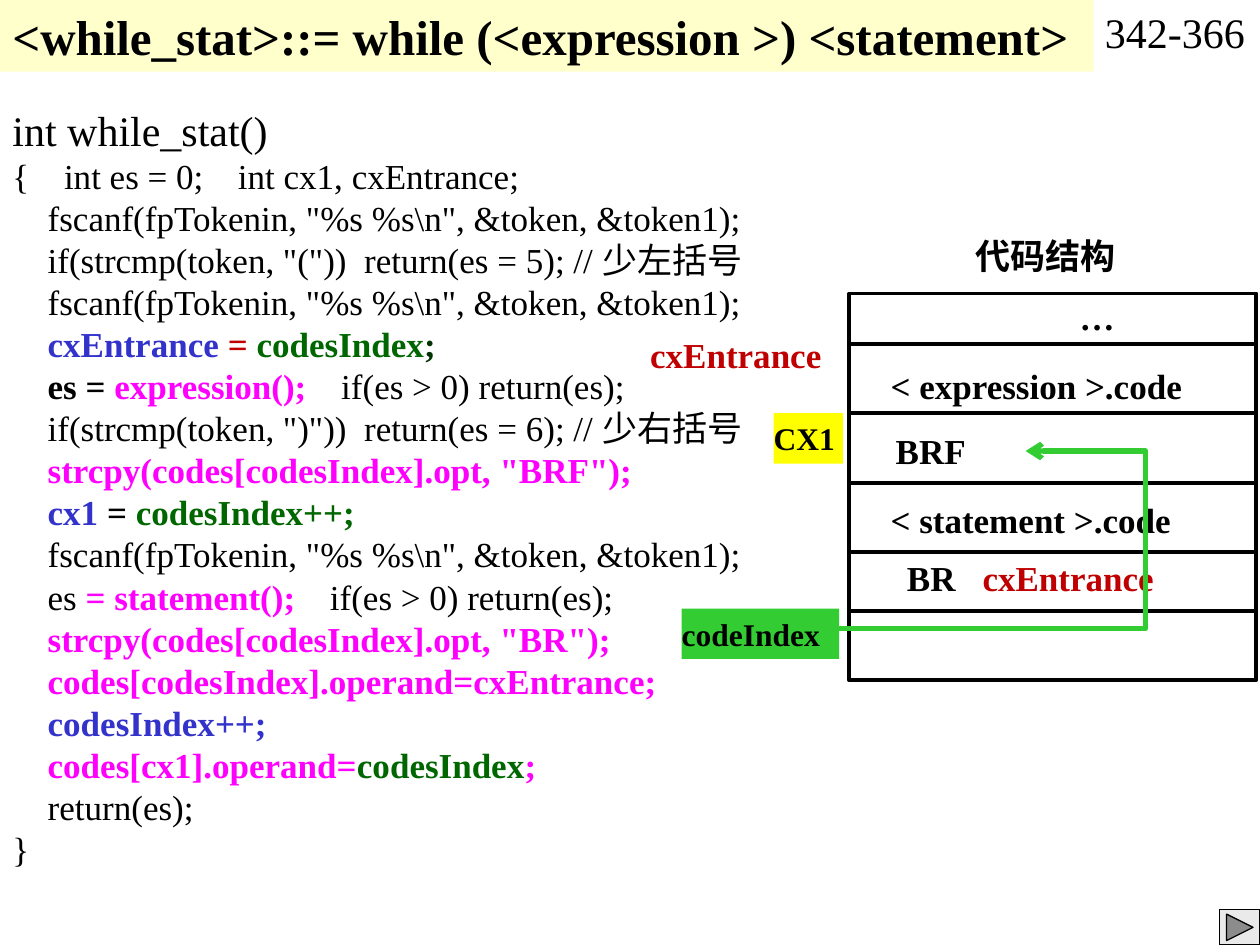
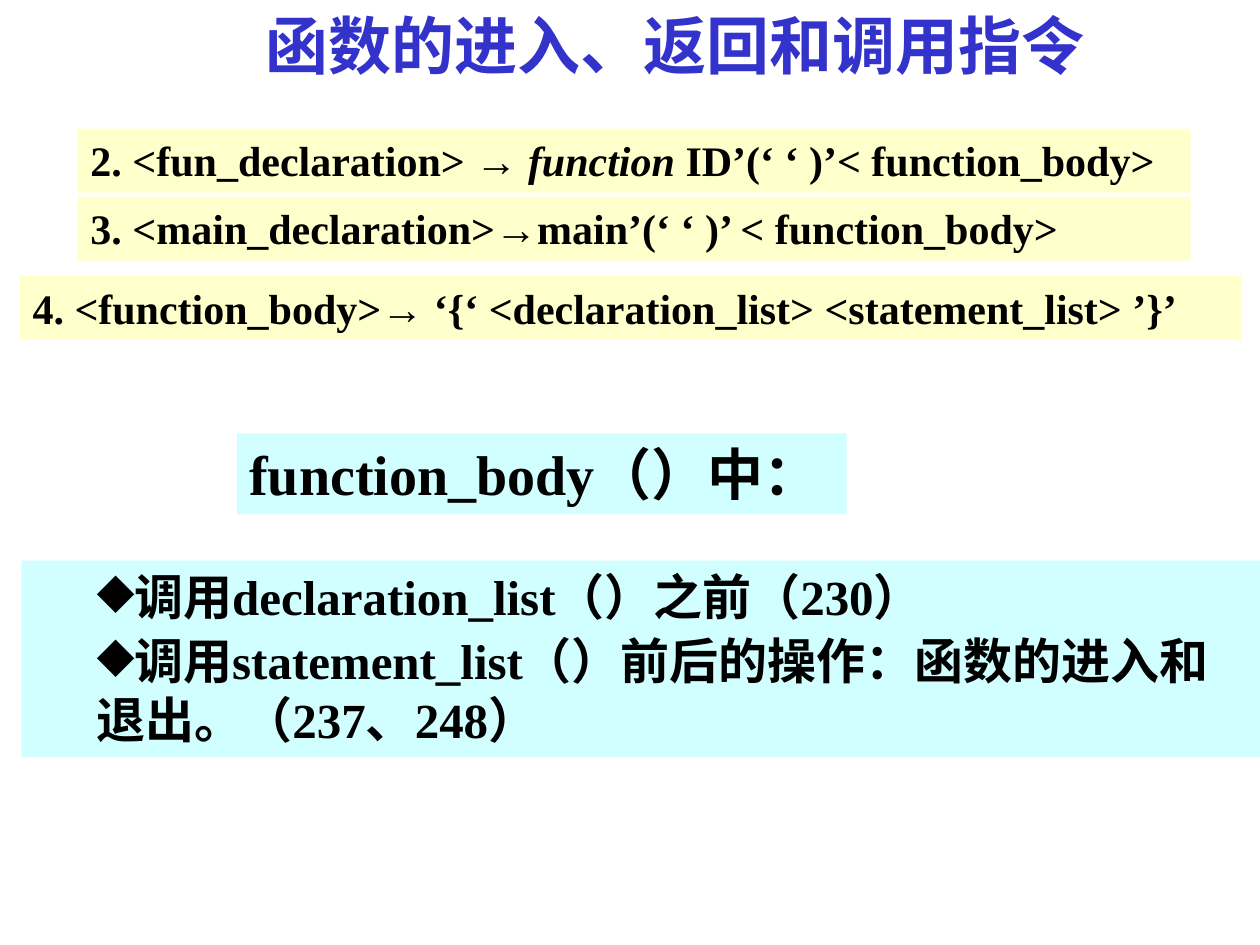
from lxml import etree
from pptx import Presentation
from pptx.dml.color import RGBColor
from pptx.enum.shapes import MSO_CONNECTOR, MSO_SHAPE
from pptx.enum.text import MSO_ANCHOR, MSO_AUTO_SIZE, PP_ALIGN
from pptx.oxml.ns import qn
from pptx.util import Inches, Pt

RECT = MSO_SHAPE.RECTANGLE
NEXT_BUTTON = MSO_SHAPE.ACTION_BUTTON_FORWARD_OR_NEXT
STRAIGHT, ELBOW = MSO_CONNECTOR.STRAIGHT, MSO_CONNECTOR.ELBOW
TOP, GROW = MSO_ANCHOR.TOP, MSO_AUTO_SIZE.SHAPE_TO_FIT_TEXT
LEFT, CENTER = PP_ALIGN.LEFT, PP_ALIGN.CENTER

# Shared look
WIDTH, HEIGHT = 10, 7.5
LATIN, CJK = "Times New Roman", "Noto Sans CJK SC"
BLACK, BLUE, RED, GREEN = "000000", "3333CC", "C00000", "006600"
DARK_GREEN, PINK, LIME, YELLOW = "003300", "FF00FF", "33CC33", "FFFF00"
CREAM, AQUA, GREY = "FFFFCC", "D1FFFF", "EAEAEA"
LEADING = 1.2
INSET = (0.1, 0.05)
CODE_INDENT = 0.28

# Code lines: a string is plain; a list holds (text, colour) for bold
# spans and plain strings; a tuple adds the second tab stop of the line.
FETCH = '\tfscanf(fpTokenin, "%s %s\\n", &token, &token1);'
FAIL = "\tif(es > 0) return(es);"
CODE = [
    FETCH,
    '\tif(strcmp(token, "("))  return(es = 5); // 少左括号',
    FETCH,
    [("\tcxEntrance", BLUE), (" = ", RED), ("codesIndex", GREEN),
     (";", DARK_GREEN)],
    ([("\tes = ", BLACK), ("expression();", PINK), FAIL], 2.61),
    '\tif(strcmp(token, ")"))  return(es = 6); // 少右括号',
    [('\tstrcpy(codes[codesIndex].opt, "BRF");', PINK)],
    [("\tcx1 ", BLUE), ("= ", BLACK), ("codesIndex++;", GREEN)],
    FETCH,
    (["\tes ", ("= statement();", PINK), FAIL], 2.52),
    [('\tstrcpy(codes[codesIndex].opt, "BR");', PINK)],
    [("\tcodes[codesIndex].operand=cxEntrance;", PINK)],
    [("\tcodesIndex++;", BLUE)],
    [("\tcodes[cx1].operand=", PINK), ("codesIndex", GREEN), (";", PINK)],
    "\treturn(es);",
    "}",
]


def color(value):
    return RGBColor.from_string(value)


def add_span(para, text, size, ink=BLACK, bold=True, italic=False, font=LATIN):
    span = para.add_run()
    span.text = text
    span.font.size, span.font.name = Pt(size), font
    span.font.bold, span.font.italic = bold, italic
    span.font.color.rgb = color(ink)
    east_asian = etree.SubElement(span._r.get_or_add_rPr(), qn("a:ea"))
    east_asian.set("typeface", CJK)


def set_leading(para, size, factor=LEADING):
    para.line_spacing = Pt(round(size * factor, 1))


def add_tabs(para, stops):
    tabs = etree.SubElement(para._p.get_or_add_pPr(), qn("a:tabLst"))
    for stop in stops:
        etree.SubElement(tabs, qn("a:tab"), pos=str(Inches(stop)), algn="l")


def add_bullet(para, char):
    props = para._p.get_or_add_pPr()
    props.set("marL", str(Inches(0.5)))
    props.set("indent", "0")
    etree.SubElement(props, qn("a:buChar"), char=char)


def add_box(page, left, top, width, height, fill=None, inset=INSET, wrap=True):
    """A text box, or a filled rectangle, that takes text from the top left."""
    place = [Inches(v) for v in (left, top, width, height)]
    if fill:
        box = page.shapes.add_shape(RECT, *place)
        box.shadow.inherit = False
        box.fill.solid()
        box.fill.fore_color.rgb = color(fill)
        box.line.fill.background()
    else:
        box = page.shapes.add_textbox(*place)
    frame = box.text_frame
    frame.word_wrap, frame.auto_size = wrap, GROW
    frame.vertical_anchor = TOP
    frame.margin_left = frame.margin_right = Inches(inset[0])
    frame.margin_top = frame.margin_bottom = Inches(inset[1])
    frame.paragraphs[0].alignment = LEFT
    return frame


def add_label(page, place, text, size, ink=BLACK, bold=True, font=LATIN,
              leading=LEADING, **look):
    para = add_box(page, *place, **look).paragraphs[0]
    set_leading(para, size, leading)
    add_span(para, text, size, ink, bold, font=font)
    return para


def add_outline(page, kind, place, weight, fill=None):
    shape = page.shapes.add_shape(kind, *[Inches(v) for v in place])
    shape.shadow.inherit = False
    if fill:
        shape.fill.solid()
        shape.fill.fore_color.rgb = color(fill)
    else:
        shape.fill.background()
    shape.line.color.rgb = color(BLACK)
    shape.line.width = Pt(weight)


def add_line(page, kind, start, end, ink, weight):
    line = page.shapes.add_connector(
        kind, *[Inches(v) for v in (*start, *end)])
    line.line.color.rgb = color(ink)
    line.line.width = Pt(weight)
    etree.SubElement(line._element.spPr, qn("a:effectLst"))
    return line


def add_back_patch_arrow(page, start, end, bend):
    """An elbow that turns back at a share of its width beyond the end."""
    arrow = add_line(page, ELBOW, start, end, LIME, 3)
    shape_props = arrow._element.spPr
    guides = shape_props.find(qn("a:prstGeom")).get_or_add_avLst()
    etree.SubElement(guides, qn("a:gd"), name="adj1",
                     fmla=f"val {round(bend * 100000)}")
    etree.SubElement(shape_props.find(qn("a:ln")), qn("a:tailEnd"),
                     type="arrow")


def add_code(page):
    frame = add_box(page, 0, 0.78, 6.09, 6.23)
    heading = frame.paragraphs[0]
    set_leading(heading, 24)
    add_span(heading, "int while_stat()", 24, bold=False)
    opening = ("{\tint es = 0;\tint cx1, cxEntrance;", 1.79)
    for number, entry in enumerate([opening] + CODE):
        spans, *more_stops = entry if isinstance(entry, tuple) else (entry,)
        para = frame.add_paragraph()
        set_leading(para, 20)
        first_stop = 0.41 if number == 0 else CODE_INDENT
        add_tabs(para, [first_stop, *more_stops])
        for part in [spans] if isinstance(spans, str) else spans:
            if isinstance(part, str):
                add_span(para, part, 20, bold=False)
            else:
                add_span(para, part[0], 20, part[1])


def add_code_structure(page):
    left, top, width, height = 6.74, 2.33, 3.23, 3.07
    add_label(page, (7.64, 1.78, 1.42, 0.47), "代码结构", 20,
              font=CJK, leading=1.32)
    add_outline(page, RECT, (left, top, width, height), 2.25)
    for row in (2.73, 3.28, 3.83, 4.38, 4.85):
        add_line(page, STRAIGHT, (left, row), (left + width, row), BLACK, 2.25)

    # Row contents
    add_label(page, (8.47, 2.26, 1.42, 0.47), "…", 20, leading=1.32)
    add_label(page, (6.97, 2.81, 2.84, 0.47), "< expression >.code", 20,
              leading=1.32)
    add_label(page, (7.01, 3.36, 2.72, 0.43), "BRF", 20)
    add_label(page, (6.97, 3.91, 2.84, 0.43), "< statement >.code", 20)
    jump = add_label(page, (7.1, 4.37, 2.54, 0.44), "BR\t", 20)
    add_tabs(jump, [0.6])
    add_span(jump, "cxEntrance", 20, RED)

    # Index markers and the back patch
    add_label(page, (5.16, 2.65, 1.49, 0.34), "cxEntrance", 20, RED,
              inset=(0, 0))
    add_label(page, (6.14, 3.28, 0.55, 0.4), "CX1", 18, fill=YELLOW,
              inset=(0, 0.05))
    add_label(page, (5.41, 4.83, 1.25, 0.4), "codeIndex", 18, fill=LIME,
              inset=(0, 0.05))
    add_back_patch_arrow(page, (6.27, 4.99), (8.14, 3.58), 1.51)


def build_while_page(page):
    add_label(page, (0, 0, 8.68, 0.57),
              "<while_stat>::= while (<expression >) <statement>", 28,
              fill=CREAM, wrap=False)
    add_label(page, (8.67, 0, 1.33, 0.51), "342-366", 24, bold=False)
    add_code(page)
    add_code_structure(page)
    button = (0.32, 0.28)
    add_outline(page, NEXT_BUTTON,
                (WIDTH - button[0], HEIGHT - button[1], *button), 0.75, GREY)


def build_function_page(page):
    # Grammar rules
    rule = add_label(page, (0.62, 1.02, 8.83, 0.51),
                     "2. <fun_declaration> → ", 24, fill=CREAM)
    add_span(rule, "function", 24, italic=True)
    add_span(rule, " ID’(‘ ‘ )’< function_body>", 24)
    add_label(page, (0.62, 1.56, 8.83, 0.51),
              "3. <main_declaration>→main’(‘ ‘ )’ < function_body>", 24,
              fill=CREAM)
    add_label(page, (0.16, 2.19, 9.69, 0.51),
              "4. <function_body>→ ‘{‘ <declaration_list> <statement_list> ’}’",
              24, fill=CREAM)

    # What happens inside function_body
    add_label(page, (1.88, 3.44, 4.84, 0.64), "function_body（）中：", 32,
              fill=AQUA)
    frame = add_box(page, 0.17, 4.45, 9.83, 1.56, fill=AQUA)
    steps = ["调用declaration_list（）之前（230）",
             "调用statement_list（）前后的操作：函数的进入和退出。（237、248）"]
    for number, step in enumerate(steps):
        para = frame.add_paragraph() if number else frame.paragraphs[0]
        para.alignment, para.level = LEFT, 1
        para.space_before = Pt(2.8)
        set_leading(para, 28)
        add_bullet(para, "◆")
        add_span(para, step, 28)

    title = add_label(page, (1.41, 0, 7.89, 0.71),
                      "函数的进入、返回和调用指令", 36, BLUE)
    title.alignment = CENTER


def main():
    deck = Presentation()
    deck.slide_width, deck.slide_height = Inches(WIDTH), Inches(HEIGHT)
    blank = deck.slide_layouts[6]
    for build in (build_while_page, build_function_page):
        build(deck.slides.add_slide(blank))
    deck.save("out.pptx")


main()
